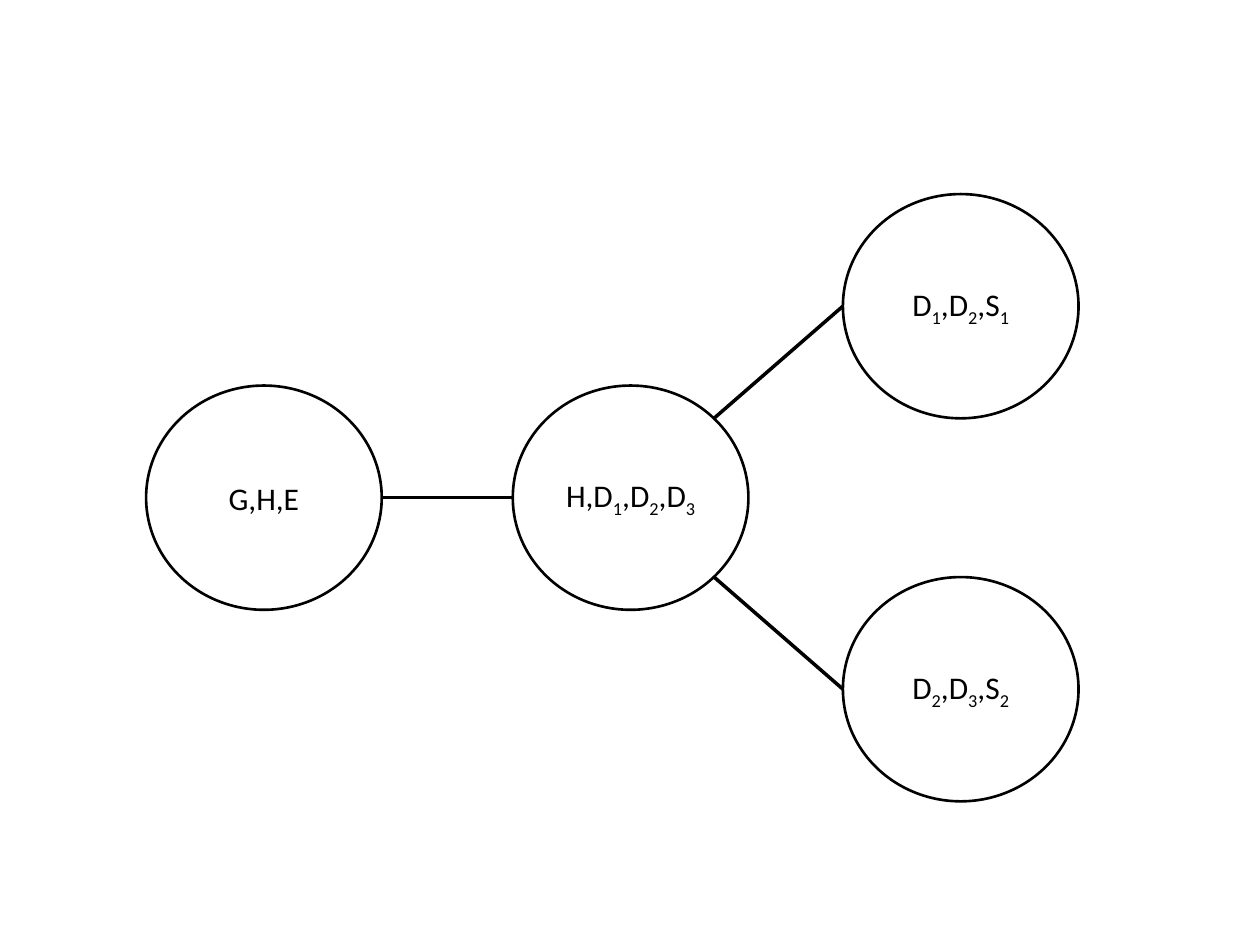
import dataclasses
import itertools
import math

import pptx
import pptx.dml.color
import pptx.enum.shapes
import pptx.enum.text
import pptx.oxml
import pptx.oxml.ns
import pptx.shapes.group
import pptx.util

Inches = pptx.util.Inches
Pt = pptx.util.Pt


@dataclasses.dataclass(frozen=True)
class Theme:
    """Colours, type and line sizes."""
    ink: pptx.dml.color.RGBColor = pptx.dml.color.RGBColor(0, 0, 0)
    font: str = "Calibri"
    size: float = 18
    rim: float = 1.5
    edge: float = 2


@dataclasses.dataclass(frozen=True)
class Node:
    """One clique of the tree: its label and top left corner."""
    label: str
    left: float
    top: float

    def point(self, angle: float) -> tuple[float, float]:
        """Return the rim point at an angle in degrees, clockwise from right."""
        turn = math.radians(angle)
        return (self.left + WIDTH / 2 * (1 + math.cos(turn)),
                self.top + HEIGHT / 2 * (1 + math.sin(turn)))


THEME = Theme()
WIDTH, HEIGHT = 1.87, 1.78
MID, RISE = 3.06, 1.52

HUB = Node("H,D1,D2,D3", 4.07, MID)
ROOT = Node("G,H,E", 1.16, MID)
UPPER = Node("D1,D2,S1", 6.69, MID - RISE)
LOWER = Node("D2,D3,S2", 6.69, MID + RISE)
NODES = (HUB, ROOT, UPPER, LOWER)
EDGES = ((ROOT, 0, HUB), (HUB, -45, UPPER), (HUB, 45, LOWER))


def draw_node(group: pptx.shapes.group.GroupShape, node: Node) -> None:
    """Draw a clique as an unfilled ellipse, digits set as subscripts."""
    oval = group.shapes.add_shape(
        pptx.enum.shapes.MSO_SHAPE.OVAL, Inches(node.left), Inches(node.top),
        Inches(WIDTH), Inches(HEIGHT))
    oval.shadow.inherit = False
    oval.fill.background()
    oval.line.color.rgb = THEME.ink
    oval.line.width = Pt(THEME.rim)
    frame = oval.text_frame
    frame.vertical_anchor = pptx.enum.text.MSO_ANCHOR.MIDDLE
    para = frame.paragraphs[0]
    para.alignment = pptx.enum.text.PP_ALIGN.CENTER
    for digit, chars in itertools.groupby(node.label, str.isdigit):
        run = para.add_run()
        run.text = "".join(chars)
        run.font.name = THEME.font
        run.font.size = Pt(THEME.size)
        run.font.color.rgb = THEME.ink
        if digit:
            run.font._element.set("baseline", "-25000")


def draw_edge(group: pptx.shapes.group.GroupShape,
              start: Node, angle: float, end: Node) -> None:
    """Join a rim point of one clique to the left side of another."""
    ends = [Inches(n) for n in (*start.point(angle), *end.point(180))]
    line = group.shapes.add_connector(
        pptx.enum.shapes.MSO_CONNECTOR.STRAIGHT, *ends)
    line.line.color.rgb = THEME.ink
    line.line.width = Pt(THEME.edge)
    props = line._element.spPr
    props.append(pptx.oxml.parse_xml(
        f"<a:effectLst {pptx.oxml.ns.nsdecls('a')}/>"))


def main() -> None:
    """Build the clique tree slide."""
    deck = pptx.Presentation()
    deck.slide_width, deck.slide_height = Inches(10), Inches(7.5)
    slide = deck.slides.add_slide(deck.slide_layouts.get_by_name("Blank"))
    tree = slide.shapes.add_group_shape()
    for node in NODES:
        draw_node(tree, node)
    for edge in EDGES:
        draw_edge(tree, *edge)
    deck.save("out.pptx")


main()
